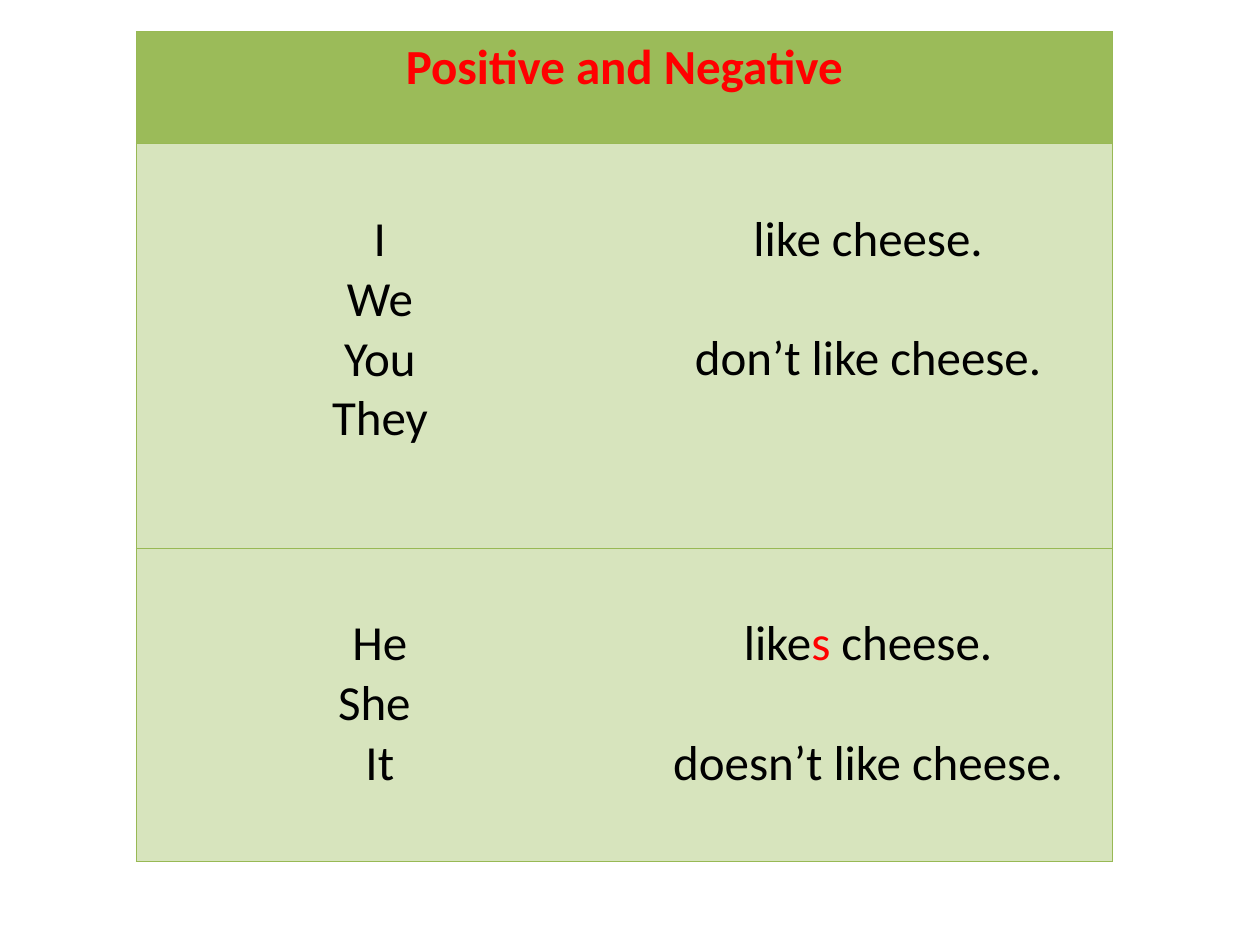
from lxml.etree import SubElement
from pptx import Presentation
from pptx.dml.color import RGBColor
from pptx.enum.text import PP_ALIGN
from pptx.oxml.ns import qn
from pptx.util import Inches, Pt

RED = RGBColor(0xFF, 0x00, 0x00)
BLACK = RGBColor(0x00, 0x00, 0x00)
HEADER_GREEN = RGBColor(0x9B, 0xBB, 0x59)
PALE_GREEN = RGBColor(0xD7, 0xE4, 0xBD)
BORDER_GREEN = RGBColor(0x98, 0xB9, 0x54)

FONT, SIZE = "Calibri", Pt(28)
LINE_HEIGHT = 0.475
MARGIN = 0.05
COLUMN_WIDTHS = (3.87, 3.88)
ROW_HEIGHTS = (0.89, 3.21, 2.49)

TITLE = [[("Positive and Negative", RED)]]
# Each body row: subject lines, then the positive and negative predicates
BODY = [
    (
        [[("I", BLACK)], [("We", BLACK)], [("You", BLACK)], [("They", BLACK)]],
        [[("like cheese.", BLACK)], [("don’t like cheese.", BLACK)]],
    ),
    (
        [[("He", BLACK)], [("She ", BLACK)], [("It", BLACK)]],
        [[("like", BLACK), ("s", RED), (" cheese.", BLACK)],
         [("doesn’t like cheese.", BLACK)]],
    ),
]


def style_cell(cell, fill, open_side=None):
    """Fill the cell and border every side except open_side."""
    props = cell._tc.get_or_add_tcPr()
    for side in "LRTB":
        line = SubElement(props, qn(f"a:ln{side}"), w=str(Pt(0.34)))
        if side == open_side:
            SubElement(line, qn("a:noFill"))
        else:
            solid = SubElement(line, qn("a:solidFill"))
            SubElement(solid, qn("a:srgbClr"), val=str(BORDER_GREEN))
    cell.fill.solid()
    cell.fill.fore_color.rgb = fill


def write_cell(cell, lines, bold=False, lines_above=0, lines_between=0):
    cell.margin_top = Inches(MARGIN + lines_above * LINE_HEIGHT)
    frame = cell.text_frame
    for index, line in enumerate(lines):
        para = frame.add_paragraph() if index else frame.paragraphs[0]
        para.alignment = PP_ALIGN.CENTER
        if index and lines_between:
            para.space_before = Pt(round(lines_between * LINE_HEIGHT * 72))
        for text, color in line:
            run = para.add_run()
            run.text = text
            run.font.name, run.font.size = FONT, SIZE
            run.font.bold = bold
            run.font.color.rgb = color


deck = Presentation()
deck.slide_width, deck.slide_height = Inches(10), Inches(7.5)
page = deck.slides.add_slide(deck.slide_layouts[6])

table = page.shapes.add_table(
    len(ROW_HEIGHTS), len(COLUMN_WIDTHS), Inches(1.08), Inches(0.25),
    Inches(sum(COLUMN_WIDTHS)), Inches(sum(ROW_HEIGHTS)),
).table
table.horz_banding = False
for column, width in zip(table.columns, COLUMN_WIDTHS):
    column.width = Inches(width)
for row, height in zip(table.rows, ROW_HEIGHTS):
    row.height = Inches(height)

header = table.cell(0, 0)
header.merge(table.cell(0, 1))
for column in range(len(COLUMN_WIDTHS)):
    style_cell(table.cell(0, column), HEADER_GREEN)
write_cell(header, TITLE, bold=True)

for row, (subjects, predicates) in enumerate(BODY, start=1):
    subject_cell, predicate_cell = table.cell(row, 0), table.cell(row, 1)
    style_cell(subject_cell, PALE_GREEN, open_side="R")
    style_cell(predicate_cell, PALE_GREEN, open_side="L")
    write_cell(subject_cell, subjects, lines_above=1)
    write_cell(predicate_cell, predicates, lines_above=1, lines_between=1)

deck.save("out.pptx")
